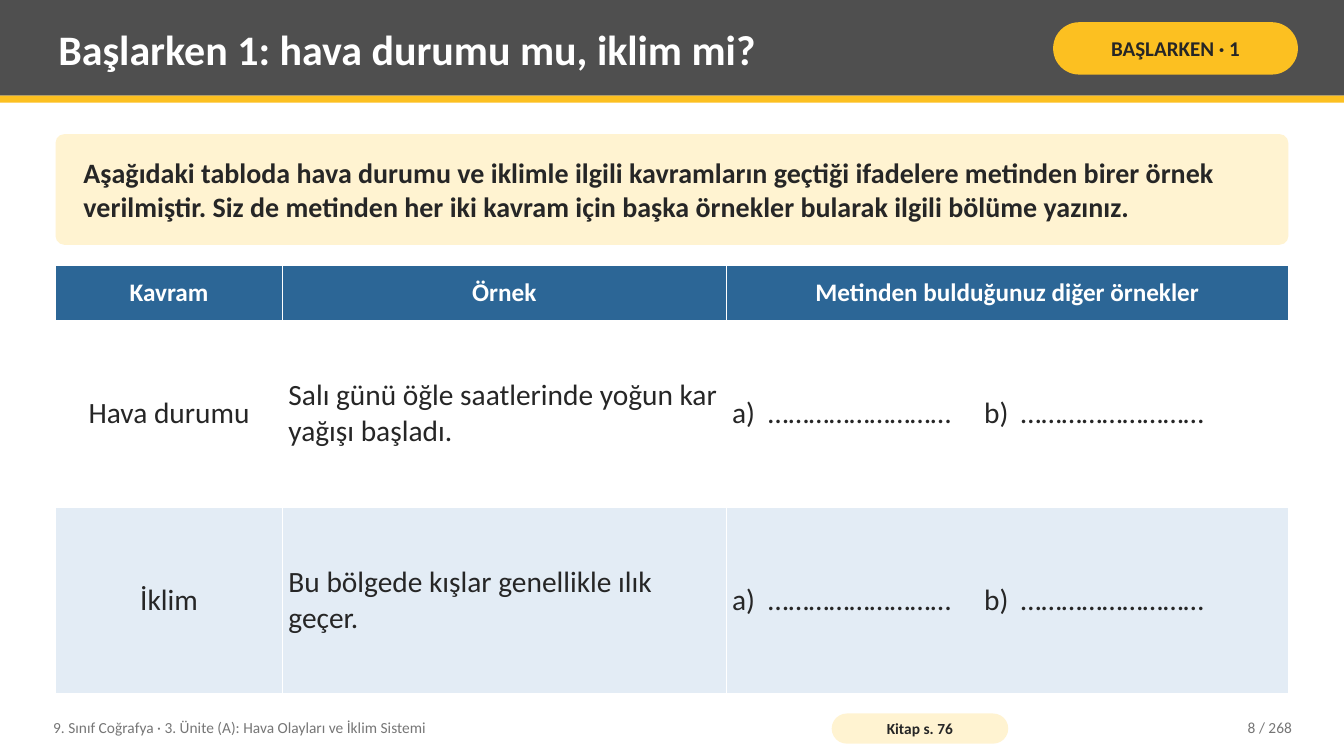
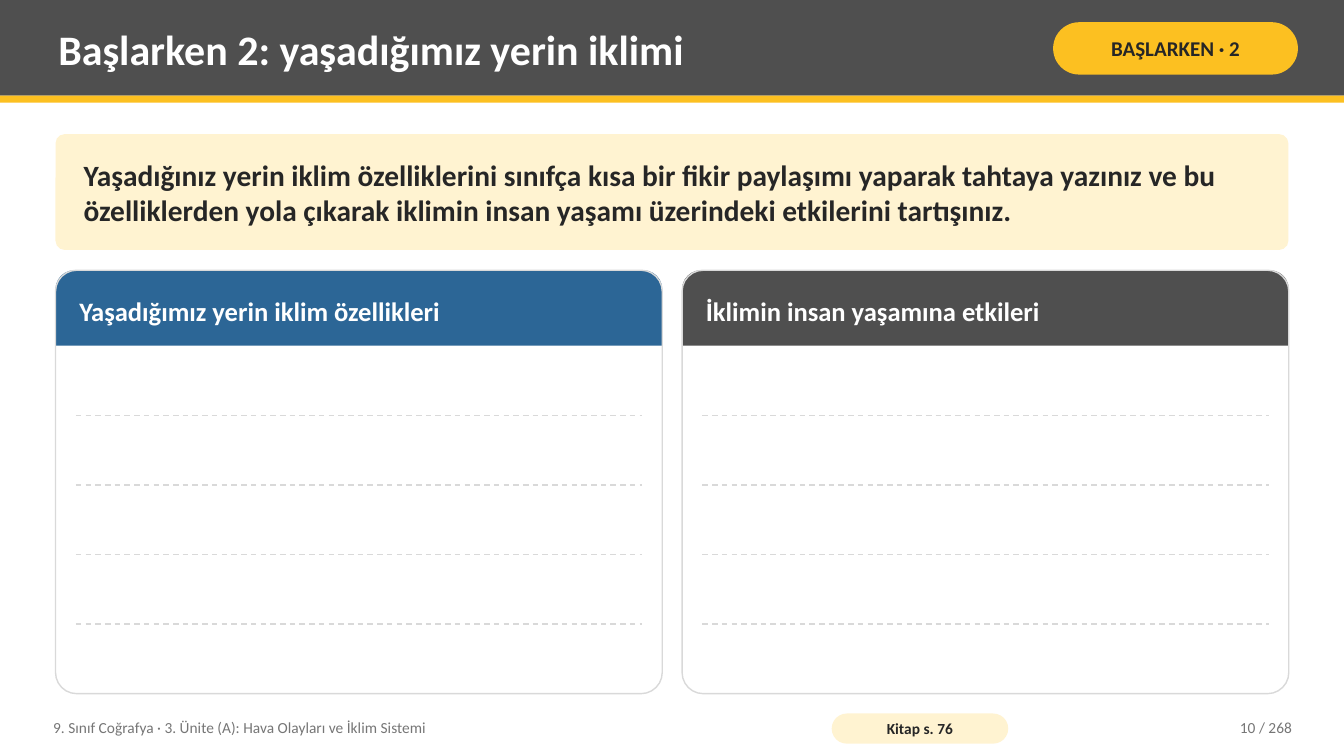
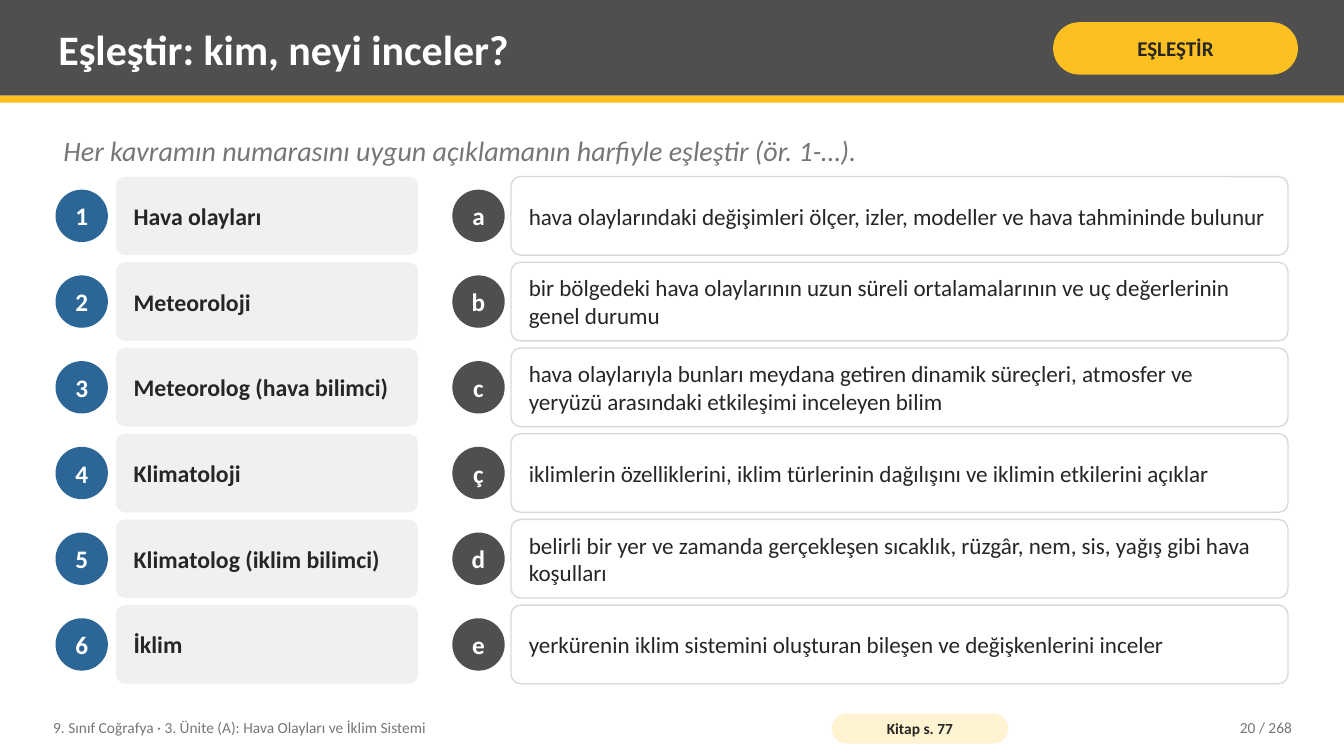
from lxml.etree import SubElement
from pptx import Presentation
from pptx.dml.color import RGBColor
from pptx.enum.dml import MSO_LINE
from pptx.enum.shapes import MSO_CONNECTOR, MSO_SHAPE as SHAPE
from pptx.enum.text import MSO_ANCHOR, MSO_AUTO_SIZE, PP_ALIGN as ALIGN
from pptx.oxml.ns import qn
from pptx.util import Cm, Pt

FONT = "Calibri"
INK, GRAY, WHITE = "262626", "767676", "FFFFFF"
DARK, BLUE, YELLOW = "4F4F4F", "2C6696", "FCC021"
CREAM, PALE_BLUE, PALE_GRAY, RULE = "FFF3D1", "E3ECF5", "F0F0F0", "D9D9D9"
LEFT, WIDTH = 1.4, 31.07
rgb = RGBColor.from_string


def write(tf, text, size=18, color=INK, bold=False, italic=False,
          align=ALIGN.LEFT, inset=(0.2, 0.1), tabs=()):
    """Fill a text frame or table cell with one formatted paragraph, centred vertically."""
    tf.margin_left = tf.margin_right = Cm(inset[0])
    tf.margin_top = tf.margin_bottom = Cm(inset[1])
    tf.vertical_anchor = MSO_ANCHOR.MIDDLE
    p = getattr(tf, "text_frame", tf).paragraphs[0]
    p.alignment = align
    if tabs:
        stops = SubElement(p._p.get_or_add_pPr(), qn("a:tabLst"))
        for pos in tabs:
            SubElement(stops, qn("a:tab"), pos=str(Cm(pos)), algn="l")
    r = p.add_run()
    r.text = text
    r.font.name, r.font.size = FONT, Pt(size)
    r.font.bold, r.font.italic = bold, italic
    r.font.color.rgb = rgb(color)


def box(s, kind, x, y, w, h, fill=None, line=None, adj=(), text="", **fmt):
    """Add a shape, or a plain text box when kind is None."""
    place = Cm(x), Cm(y), Cm(w), Cm(h)
    if kind is None:
        sp = s.shapes.add_textbox(*place)
    else:
        sp = s.shapes.add_shape(kind, *place)
        sp.shadow.inherit = False
        for i, value in enumerate(adj):
            sp.adjustments[i] = value
        if fill:
            sp.fill.solid()
            sp.fill.fore_color.rgb = rgb(fill)
        else:
            sp.fill.background()
        if line:
            sp.line.color.rgb = rgb(line)
            sp.line.width = Pt(1)
        else:
            sp.line.fill.background()
    if text:
        sp.text_frame.word_wrap = True
        write(sp.text_frame, text, **fmt)
    return sp


prs = Presentation()
prs.slide_width, prs.slide_height = Cm(33.87), Cm(19.05)

# Shared layout: title place, header band and footer
layout = prs.slide_layouts[5]
title, *others = layout.placeholders
for ph in others:
    ph.element.getparent().remove(ph.element)
title.left, title.top, title.width, title.height = Cm(1.27), Cm(0.18), Cm(24.77), Cm(2.08)

slides = [prs.slides.add_slide(layout) for _ in range(3)]
shared = [
    box(slides[0], SHAPE.RECTANGLE, 0, 0, 33.87, 2.41, fill=DARK),
    box(slides[0], SHAPE.RECTANGLE, 0, 2.41, 33.87, 0.18, fill=YELLOW),
    box(slides[0], None, 1.14, 17.88, 19.3, 0.91, size=11, color=GRAY,
        text="9. Sınıf Coğrafya · 3. Ünite (A): Hava Olayları ve İklim Sistemi"),
]
for i, sp in enumerate(shared):
    layout.shapes.element.insert(2 + i, sp.element)

headers = [
    ("Başlarken 1: hava durumu mu, iklim mi?", "BAŞLARKEN · 1", "Kitap s. 76", 8),
    ("Başlarken 2: yaşadığımız yerin iklimi", "BAŞLARKEN · 2", "Kitap s. 76", 10),
    ("Eşleştir: kim, neyi inceler?", "EŞLEŞTİR", "Kitap s. 77", 20),
]
for s, (heading, tag, book_page, number) in zip(slides, headers):
    tf = s.shapes.title.text_frame
    tf.auto_size = MSO_AUTO_SIZE.NONE
    write(tf, heading, size=30, color=WHITE, bold=True)
    box(s, SHAPE.ROUNDED_RECTANGLE, 26.54, 0.56, 6.17, 1.32, fill=YELLOW, adj=[0.5],
        text=tag, size=15, bold=True, align=ALIGN.CENTER, inset=(0.13, 0.05))
    box(s, SHAPE.ROUNDED_RECTANGLE, 20.96, 17.98, 4.45, 0.76, fill=CREAM, adj=[0.5],
        text=book_page, size=11, bold=True, align=ALIGN.CENTER, inset=(0.1, 0))
    box(s, None, 28.7, 17.88, 4.06, 0.91, text=f"{number} / 268",
        size=11, color=GRAY, align=ALIGN.RIGHT)

questions = [
    ("Aşağıdaki tabloda hava durumu ve iklimle ilgili kavramların geçtiği ifadelere "
     "metinden birer örnek verilmiştir. Siz de metinden her iki kavram için başka "
     "örnekler bularak ilgili bölüme yazınız.", 2.79, 20),
    ("Yaşadığınız yerin iklim özelliklerini sınıfça kısa bir fikir paylaşımı yaparak "
     "tahtaya yazınız ve bu özelliklerden yola çıkarak iklimin insan yaşamı üzerindeki "
     "etkilerini tartışınız.", 2.92, 21),
]
for s, (question, height, size) in zip(slides, questions):
    box(s, SHAPE.ROUNDED_RECTANGLE, LEFT, 3.38, WIDTH, height, fill=CREAM, adj=[0.08],
        text=question, size=size, bold=True, inset=(0.64, 0.2))

# Slide 1: table of examples
blanks = "a)\t………………………\tb)\t………………………"
rows = [
    ("Kavram", "Örnek", "Metinden bulduğunuz diğer örnekler"),
    ("Hava durumu", "Salı günü öğle saatlerinde yoğun kar yağışı başladı.", blanks),
    ("İklim", "Bu bölgede kışlar genellikle ılık geçer.", blanks),
]
col_widths, row_heights = [5.72, 11.18, 14.17], [1.4, 4.7, 4.7]
table = slides[0].shapes.add_table(3, 3, Cm(LEFT), Cm(6.68), Cm(WIDTH),
                                   Cm(sum(row_heights))).table
for col, width in zip(table.columns, col_widths):
    col.width = Cm(width)
for i, (texts, height, fill) in enumerate(zip(rows, row_heights, [BLUE, WHITE, PALE_BLUE])):
    table.rows[i].height = Cm(height)
    head = i == 0
    for j, text in enumerate(texts):
        cell = table.cell(i, j)
        for side in ("lnL", "lnR", "lnT", "lnB"):
            ln = SubElement(cell._tc.get_or_add_tcPr(), qn(f"a:{side}"), w=str(Pt(0.96)))
            SubElement(SubElement(ln, qn("a:solidFill")), qn("a:srgbClr"), val=WHITE)
        cell.fill.solid()
        cell.fill.fore_color.rgb = rgb(fill)
        write(cell, text, size=18 if head else 21, color=WHITE if head else INK, bold=head,
              align=ALIGN.CENTER if head or j == 0 else ALIGN.LEFT, inset=(0.15, 0.13),
              tabs=(0.91, 6.35, 7.28) if text == blanks else ())

# Slide 2: two cards with writing lines
s = slides[1]
card_top, card_w, card_h, head_h, gap = 6.81, 15.29, 10.67, 1.9, 0.5
cards = [("Yaşadığımız yerin iklim özellikleri", BLUE), ("İklimin insan yaşamına etkileri", DARK)]
for i, (heading, color) in enumerate(cards):
    x = LEFT + i * (card_w + gap)
    box(s, SHAPE.ROUND_2_SAME_RECTANGLE, x, card_top, card_w, head_h, fill=color, adj=[0.25, 0],
        text=heading, size=19, color=WHITE, bold=True, inset=(0.46, 0.1))
    box(s, SHAPE.ROUNDED_RECTANGLE, x, card_top, card_w, card_h, line=RULE, adj=[0.05])
    for k in range(1, 5):
        y = card_top + head_h + k * (card_h - head_h) / 5
        rule = s.shapes.add_connector(MSO_CONNECTOR.STRAIGHT, Cm(x + 0.51), Cm(y),
                                      Cm(x + card_w - 0.51), Cm(y))
        rule.line.color.rgb = rgb(RULE)
        rule.line.width = Pt(1)
        rule.line.dash_style = MSO_LINE.DASH
        SubElement(rule._element.spPr, qn("a:effectLst"))

# Slide 3: terms and descriptions to match
s = slides[2]
box(s, None, LEFT, 3.25, WIDTH, 1.07, size=20, color=GRAY, italic=True,
    text="Her kavramın numarasını uygun açıklamanın harfiyle eşleştir (ör. 1-…).")
pairs = [
    ("Hava olayları", "a",
     "hava olaylarındaki değişimleri ölçer, izler, modeller ve hava tahmininde bulunur"),
    ("Meteoroloji", "b",
     "bir bölgedeki hava olaylarının uzun süreli ortalamalarının ve uç değerlerinin genel durumu"),
    ("Meteorolog (hava bilimci)", "c",
     "hava olaylarıyla bunları meydana getiren dinamik süreçleri, atmosfer ve yeryüzü "
     "arasındaki etkileşimi inceleyen bilim"),
    ("Klimatoloji", "ç",
     "iklimlerin özelliklerini, iklim türlerinin dağılışını ve iklimin etkilerini açıklar"),
    ("Klimatolog (iklim bilimci)", "d",
     "belirli bir yer ve zamanda gerçekleşen sıcaklık, rüzgâr, nem, sis, yağış gibi hava koşulları"),
    ("İklim", "e", "yerkürenin iklim sistemini oluşturan bileşen ve değişkenlerini inceler"),
]
row_h, circle = 1.98, 1.32
for i, (term, letter, description) in enumerate(pairs):
    y = 4.45 + i * 2.16
    for x, mark, color in [(LEFT, str(i + 1), BLUE), (11.4, letter, DARK)]:
        box(s, SHAPE.OVAL, x, y + (row_h - circle) / 2, circle, circle, fill=color, text=mark,
            size=18, color=WHITE, bold=True, align=ALIGN.CENTER, inset=(0, 0))
    box(s, SHAPE.ROUNDED_RECTANGLE, 2.92, y, 7.62, row_h, fill=PALE_GRAY, adj=[0.12],
        text=term, size=17, bold=True, inset=(0.38, 0.2))
    box(s, SHAPE.ROUNDED_RECTANGLE, 12.88, y, 19.58, row_h, fill=WHITE, line=RULE, adj=[0.12],
        text=description, size=16.5, inset=(0.38, 0.2))

prs.save("out.pptx")
